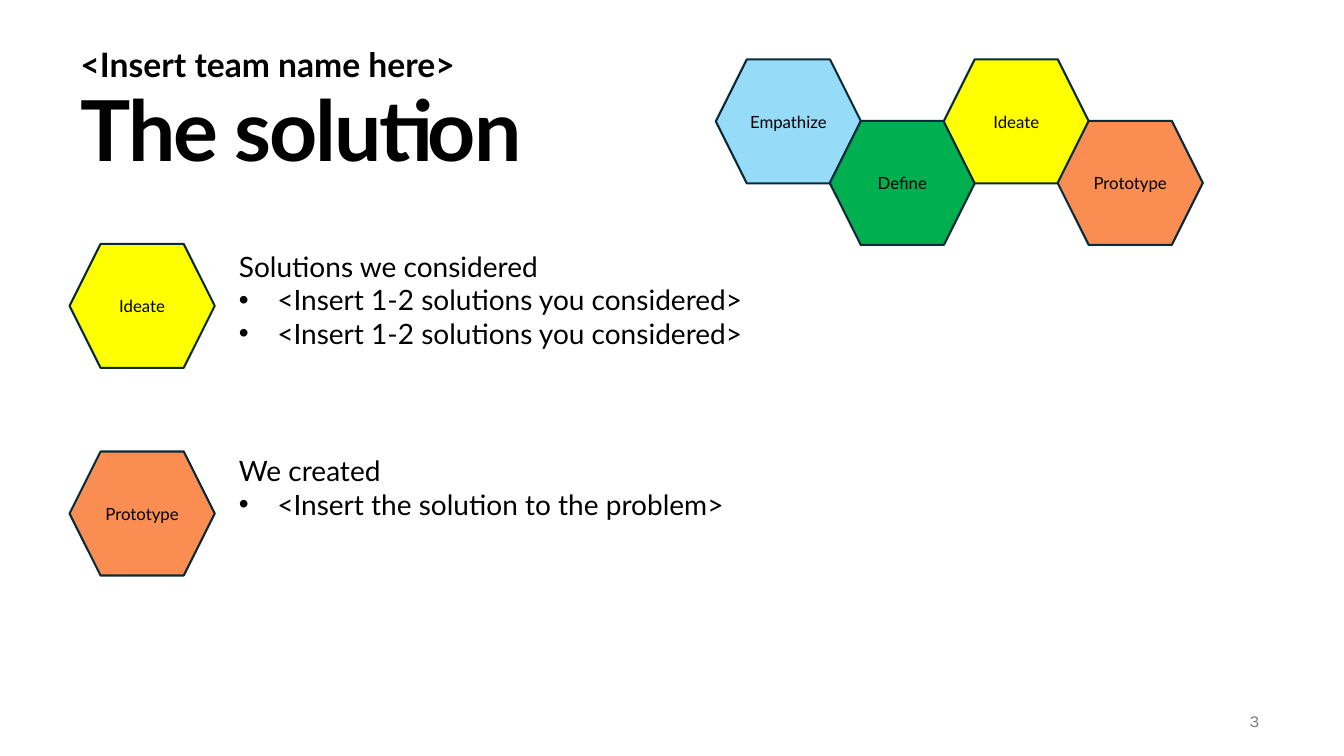
"""Builds the team solution slide with its design step hexagons."""
from dataclasses import dataclass

from lxml.etree import SubElement as Sub
from pptx import Presentation
from pptx.dml.color import RGBColor as Rgb
from pptx.enum.shapes import MSO_SHAPE as Shape
from pptx.enum.text import MSO_ANCHOR as Anchor, MSO_AUTO_SIZE as Fit, PP_ALIGN as Align
from pptx.oxml.ns import qn
from pptx.util import Inches, Pt


@dataclass(frozen=True)
class Theme:
    font: str = "Lato"
    page_font: str = "Karla"
    ink: str = "000000"
    gray: str = "797979"
    edge: str = "092A39"
    sky: str = "96DCF8"
    green: str = "00B050"
    yellow: str = "FFFF00"
    coral: str = "FA8D52"
    title: int = 60
    team: int = 24
    body: int = 20
    small: int = 12


theme = Theme()


def write(shape, *lines, size, font=theme.font, color=theme.ink, bold=False,
          align=Align.LEFT, anchor=Anchor.TOP, space=1.0, track=0, list_from=None):
    frame = shape.text_frame
    frame.word_wrap = True
    frame.auto_size = Fit.NONE
    frame.vertical_anchor = anchor
    for row, line in enumerate(lines):
        para = frame.add_paragraph() if row else frame.paragraphs[0]
        para.alignment = align
        para.line_spacing = space
        para.space_before = para.space_after = Pt(0)
        run = para.add_run()
        run.text = line
        run.font.name, run.font.size, run.font.bold = font, Pt(size), bold
        run.font.color.rgb = Rgb.from_string(color)
        if track:
            run.font._element.set("spc", str(track))
        props = para._p.get_or_add_pPr()
        listed = list_from is not None and row >= list_from
        indent = Inches(0.38) if listed else 0
        props.set("marL", str(indent))
        props.set("indent", str(-indent))
        if listed:
            Sub(props, qn("a:buFont"), typeface="Arial")
            Sub(props, qn("a:buChar"), char="•")
        else:
            Sub(props, qn("a:buNone"))


def place(shape, left, top, width, height):
    shape.left, shape.top = Inches(left), Inches(top)
    shape.width, shape.height = Inches(width), Inches(height)


deck = Presentation()
deck.slide_width, deck.slide_height = Inches(13.33), Inches(7.5)
slide = deck.slides.add_slide(deck.slide_layouts.get_by_name("Two Content"))
title, tried, made = slide.placeholders

place(title, 0.7, 0.95, 11.03, 0.89)
write(title, "The solution", size=theme.title, bold=True, space=0.75, track=-150)

place(tried, 2.27, 2.42, 6.83, 1.33)
write(tried, "Solutions we considered", *["<Insert 1-2 solutions you considered>"] * 2,
      size=theme.body, list_from=1)

place(made, 2.27, 4.45, 6.83, 2.49)
write(made, "We created", "<Insert the solution to the problem>",
      size=theme.body, list_from=1)

team = slide.shapes.add_textbox(Inches(0.7), Inches(0.39), Inches(8), Inches(0.5))
write(team, "<Insert team name here>", size=theme.team, bold=True)

page = slide.shapes.add_textbox(Inches(9.59), Inches(6.95), Inches(3), Inches(0.4))
write(page, "3", size=theme.small, font=theme.page_font, color=theme.gray,
      align=Align.RIGHT, anchor=Anchor.MIDDLE)

fills = {"Empathize": theme.sky, "Define": theme.green,
         "Ideate": theme.yellow, "Prototype": theme.coral}
steps = [(name, 7.1 + 1.13 * col, 0.59 + 0.61 * (col % 2))
         for col, name in enumerate(fills)]
steps += [("Ideate", 0.69, 2.42), ("Prototype", 0.69, 4.48)]
for name, left, top in steps:
    step = slide.shapes.add_shape(Shape.HEXAGON, Inches(left), Inches(top),
                                  Inches(1.44), Inches(1.23))
    step.shadow.inherit = False
    step.fill.solid()
    step.fill.fore_color.rgb = Rgb.from_string(fills[name])
    step.line.color.rgb = Rgb.from_string(theme.edge)
    step.line.width = Pt(1.5)
    write(step, name, size=theme.small, align=Align.CENTER, anchor=Anchor.MIDDLE)

deck.save("out.pptx")
